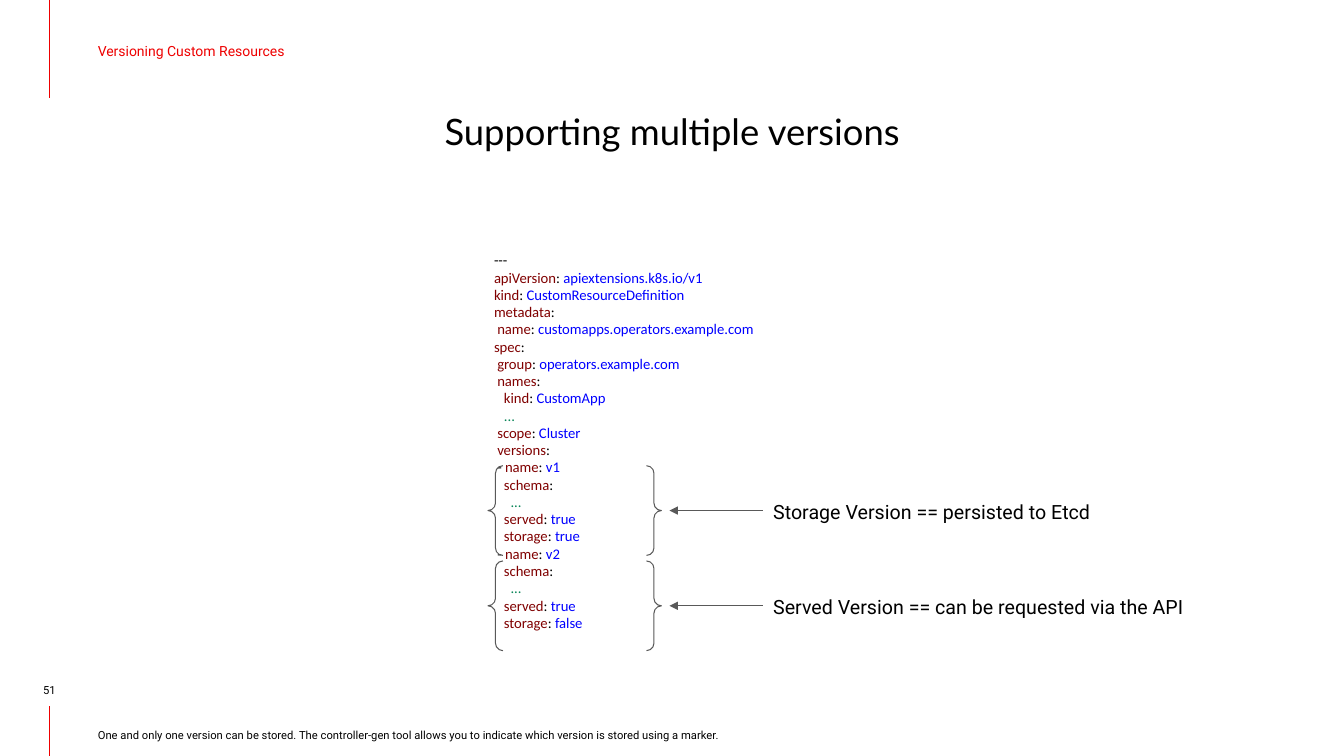
"""Build the slide on supporting multiple versions of a custom resource."""
from dataclasses import dataclass

from lxml.etree import SubElement as Sub
from pptx import Presentation
from pptx.dml.color import RGBColor as Rgb
from pptx.enum.shapes import MSO_CONNECTOR as Link, MSO_SHAPE as Shape
from pptx.enum.text import MSO_ANCHOR as Anchor, MSO_AUTO_SIZE as Fit, PP_ALIGN as Align
from pptx.oxml.ns import qn
from pptx.slide import Slide
from pptx.util import Inches, Pt


@dataclass(frozen=True)
class Theme:
    """Colours, fonts and type sizes."""
    red: str = "EE0000"
    black: str = "000000"
    grey: str = "595959"
    key: str = "800000"
    value: str = "0000FF"
    dots: str = "098658"
    body: str = "Roboto"
    head: str = "Lato"
    code: str = "Calibri"
    tiny: float = 8
    small: float = 10
    mono: float = 10.5
    label: float = 14
    title: float = 26
    rule: float = 0.75


THEME = Theme()


@dataclass(frozen=True)
class Box:
    """A text box with one style."""
    text: str
    left: float
    top: float
    width: float
    height: float
    size: float
    font: str = THEME.body
    color: str = THEME.black
    align: Align = Align.LEFT
    anchor: Anchor = Anchor.TOP
    pad: tuple[float, float, float, float] = (0, 0, 0, 0)
    space: float = 1.0
    fit: Fit = Fit.NONE


@dataclass(frozen=True)
class Line:
    """A straight line, with or without an arrowhead at its start."""
    start: tuple[float, float]
    end: tuple[float, float]
    color: str
    arrow: bool = False


CODE = """---
apiVersion: apiextensions.k8s.io/v1
kind: CustomResourceDefinition
metadata:
 name: customapps.operators.example.com
spec:
 group: operators.example.com
 names:
   kind: CustomApp
   ...
 scope: Cluster
 versions:
 - name: v1
   schema:
     ...
   served: true
   storage: true
 - name: v2
   schema:
     ...
   served: true
   storage: false"""

BOXES = (
    Box("Versioning Custom Resources", 0.49, 0.06, 5.63, 0.89, THEME.small,
        color=THEME.red, anchor=Anchor.MIDDLE, pad=(0.48, 0.1, 0.1, 0.1)),
    Box("Supporting multiple versions", 0.97, 0.95, 11.4, 0.6, THEME.title,
        font=THEME.head, align=Align.CENTER, space=1.3),
    Box("51", 0.09, 6.75, 0.8, 0.16, THEME.tiny,
        align=Align.CENTER, anchor=Anchor.BOTTOM),
    Box("One and only one version can be stored. The controller-gen tool allows you "
        "to indicate which version is stored using a marker.",
        0.97, 6.75, 8.75, 0.61, THEME.tiny, anchor=Anchor.BOTTOM, space=1.15),
)
RULES = (
    Line((0.49, 0.97), (0.49, 0), THEME.red),
    Line((0.49, 7.5), (0.49, 7), THEME.red),
)
NOTES = (
    ("Storage Version == persisted to Etcd", 3.59),
    ("Served Version == can be requested via the API", 4.32),
)
FIRST, STEP, TALL = 4.62, 0.945, 0.89


def add_box(slide: Slide, box: Box):
    """Add a text box and return its text frame."""
    shape = slide.shapes.add_textbox(*map(Inches, (box.left, box.top, box.width, box.height)))
    frame = shape.text_frame
    frame.text = box.text
    frame.word_wrap = True
    frame.auto_size = box.fit
    frame.vertical_anchor = box.anchor
    (frame.margin_left, frame.margin_top,
     frame.margin_right, frame.margin_bottom) = map(Inches, box.pad)
    for para in frame.paragraphs:
        para.alignment = box.align
        para.line_spacing = box.space
        para.font.size = Pt(box.size)
        for run in para.runs:
            run.font.name = box.font
            run.font.size = Pt(box.size)
            run.font.color.rgb = Rgb.from_string(box.color)
    return frame


def split(row: str) -> list[tuple[str, str]]:
    """Split a row of code into pairs of text and colour."""
    rest = row.lstrip(" -")
    lead = row[:len(row) - len(rest)]
    if rest == "...":
        parts = [(lead, THEME.black), (rest, THEME.dots)]
    else:
        key, colon, value = rest.partition(":")
        value = value.strip()
        mark = colon + " " if value else colon
        parts = [(lead, THEME.black), (key, THEME.key),
                 (mark, THEME.black), (value, THEME.value)]
    return [part for part in parts if part[0]]


def add_code(slide: Slide) -> None:
    """Add the code with its key and value colours."""
    frame = add_box(slide, Box(CODE, 4.9, 2.5, 3.53, 4, THEME.mono, THEME.code, space=0.98))
    for para, row in zip(frame.paragraphs, CODE.splitlines()):
        para.clear()
        for text, color in split(row):
            run = para.add_run()
            run.text = text
            run.font.name = THEME.code
            run.font.size = Pt(THEME.mono)
            run.font.color.rgb = Rgb.from_string(color)


def add_line(slide: Slide, line: Line) -> None:
    """Add a straight line."""
    link = slide.shapes.add_connector(Link.STRAIGHT, *map(Inches, line.start + line.end))
    link.line.color.rgb = Rgb.from_string(line.color)
    link.line.width = Pt(THEME.rule)
    if line.arrow:
        Sub(link.line._get_or_add_ln(), qn("a:headEnd"), type="triangle")
    Sub(link._element.spPr, qn("a:effectLst"))


def add_brace(slide: Slide, top: float) -> None:
    """Add a pair of braces around one version."""
    brace = slide.shapes.add_shape(Shape.DOUBLE_BRACE, *map(Inches, (4.84, top, 1.72, TALL)))
    brace.shadow.inherit = False
    brace.fill.background()
    brace.line.color.rgb = Rgb.from_string(THEME.grey)
    brace.line.width = Pt(THEME.rule)


def main() -> None:
    """Build and save the slide."""
    deck = Presentation()
    deck.slide_width, deck.slide_height = Inches(13.33), Inches(7.5)
    slide = deck.slides.add_slide(deck.slide_layouts[6])
    for rule in RULES:
        add_line(slide, rule)
    for box in BOXES:
        add_box(slide, box)
    add_code(slide)
    for place, (text, width) in enumerate(NOTES):
        top = FIRST + place * STEP
        mid = top + TALL / 2
        add_brace(slide, top)
        add_line(slide, Line((6.64, mid), (7.57, mid), THEME.grey, arrow=True))
        add_box(slide, Box(text, 7.57, mid - 0.21, width, 0.44, THEME.label,
                           pad=(0.1, 0.1, 0.1, 0.1), fit=Fit.SHAPE_TO_FIT_TEXT))
    deck.save("out.pptx")


if __name__ == "__main__":
    main()
